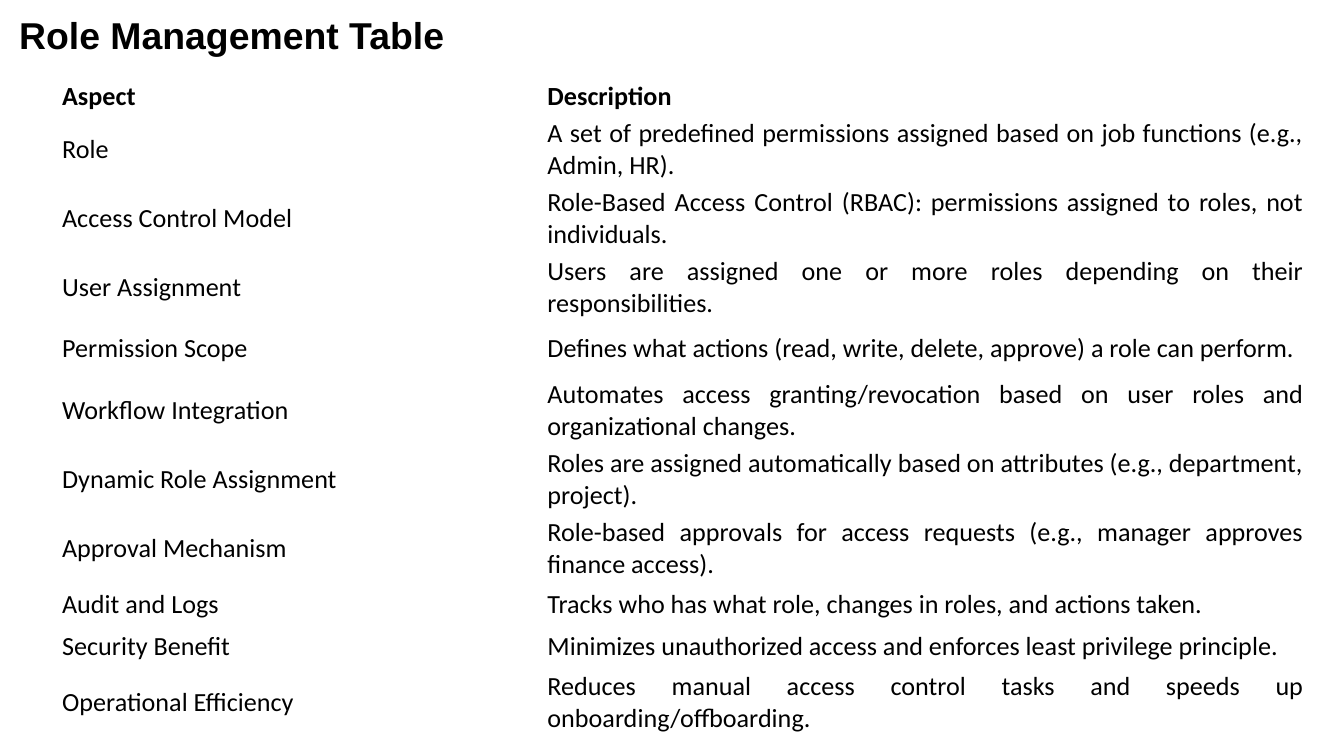
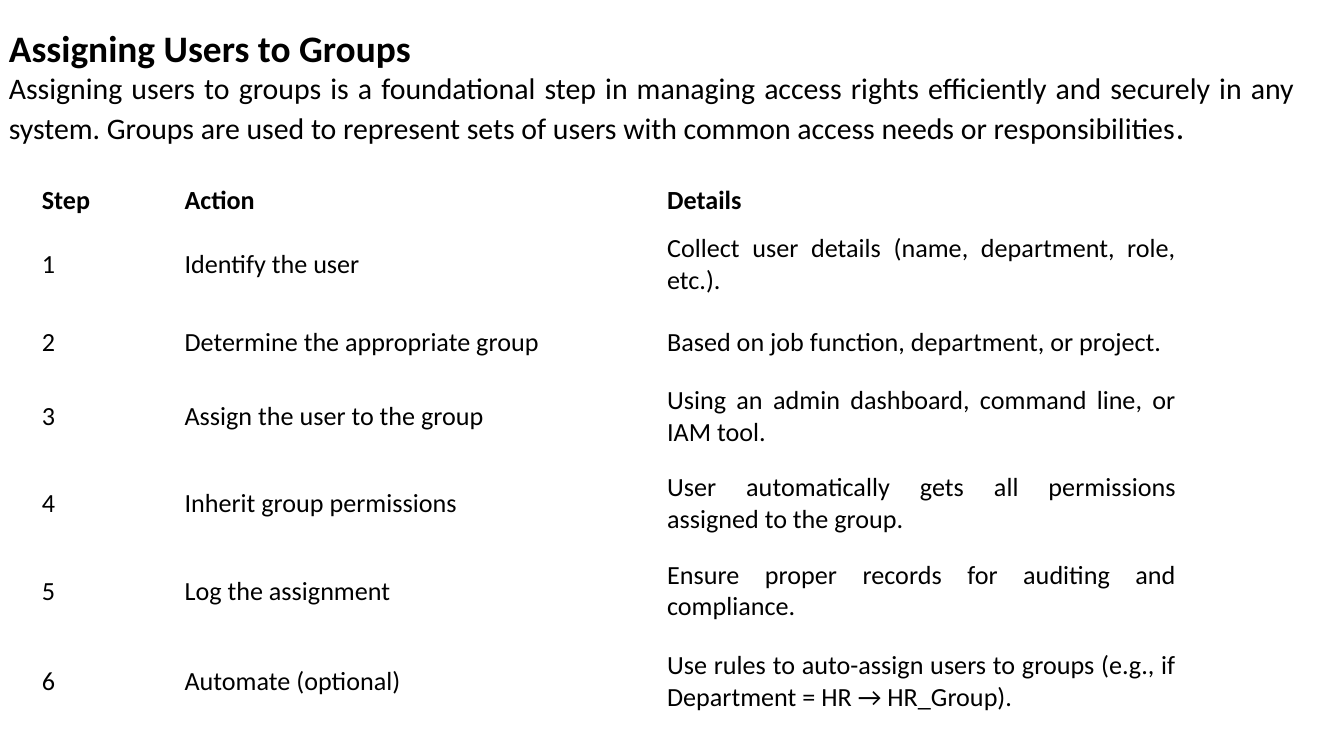
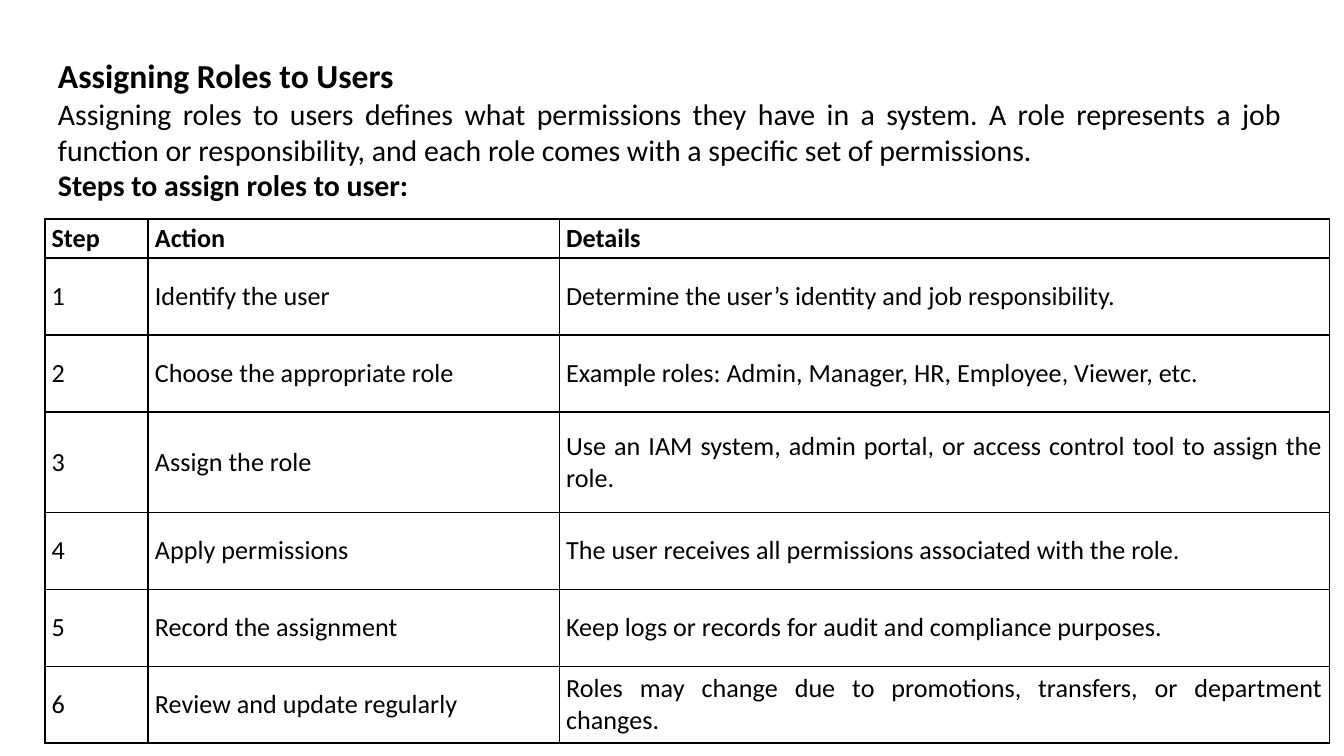
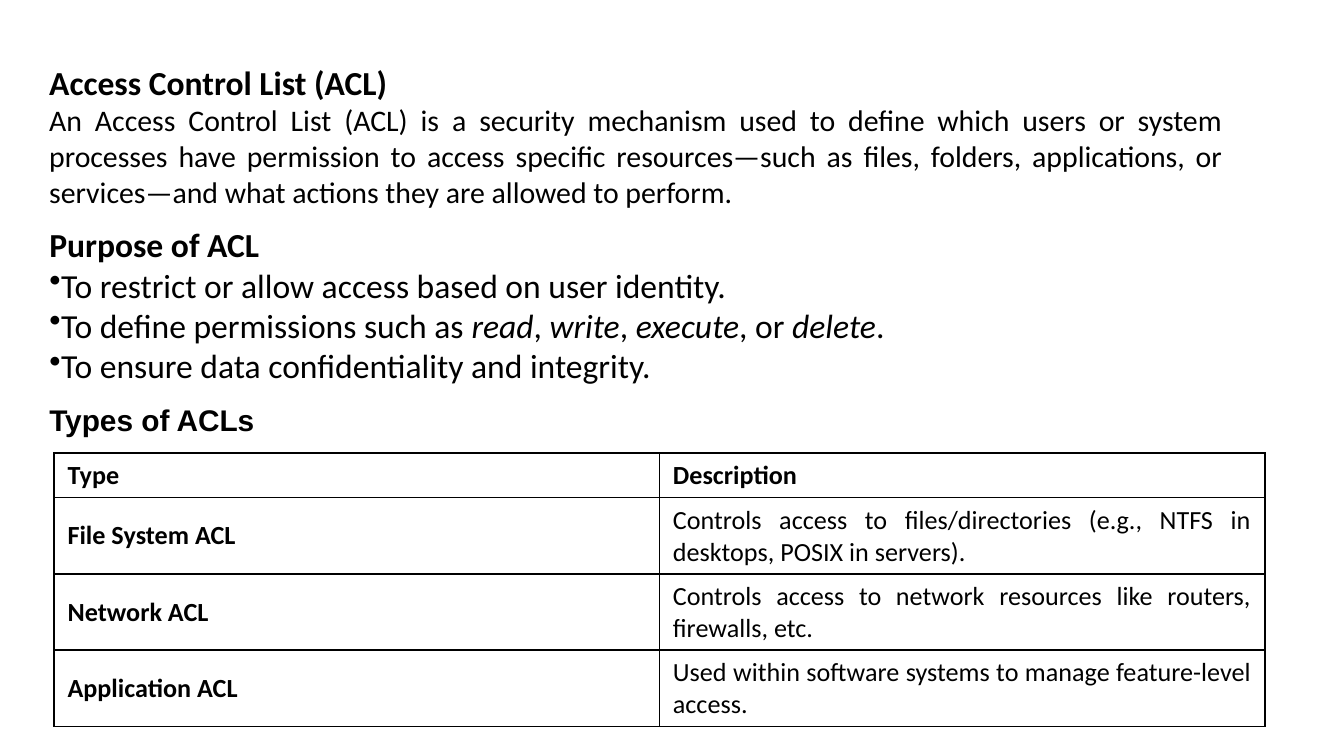
"""Build four slides on roles, groups and access control lists."""
from dataclasses import dataclass
from typing import NamedTuple

from lxml.etree import SubElement
from pptx import Presentation
from pptx.dml.color import RGBColor
from pptx.enum.text import MSO_ANCHOR as Anchor, MSO_AUTO_SIZE as AutoSize, PP_ALIGN as Align
from pptx.oxml.ns import qn
from pptx.util import Pt

COLORS = {"ink": "000000", "paper": "FFFFFF"}
BODY_FONT, HEADING_FONT = "Calibri", "Arial"
CELL_SIZE = 14


class Span(NamedTuple):
    """A stretch of text that differs from the rest of its paragraph."""
    text: str
    italic: bool = False
    size: float | None = None


@dataclass(frozen=True)
class Line:
    """One paragraph with its style."""
    spans: str | tuple[Span, ...]
    size: float = 16
    bold: bool = False
    justified: bool = False
    bullet: str = ""
    font: str = BODY_FONT


@dataclass(frozen=True)
class Passage:
    """A block of paragraphs; lengths in points."""
    left: float
    top: float
    width: float
    height: float
    lines: tuple[Line, ...]
    anchor: Anchor = Anchor.TOP


@dataclass(frozen=True)
class Grid:
    """A table whose first row is its heading; lengths in points."""
    left: float
    top: float
    columns: tuple[float, ...]
    heights: tuple[float, ...]
    rows: tuple[tuple[str, ...], ...]
    inset_x: float
    inset_y: float
    ruled: bool = False
    bold_labels: bool = False


def heading(text: str, size: float, font: str = BODY_FONT) -> Line:
    """Return a bold heading line."""
    return Line(text, size, bold=True, font=font)


def numbered(*steps: tuple[str, str]) -> tuple[tuple[str, ...], ...]:
    """Return the rows of a step table, numbered from one."""
    return (("Step", "Action", "Details"),
            *((str(number), *step) for number, step in enumerate(steps, 1)))


def write_line(paragraph, line: Line) -> None:
    """Fill a paragraph with a styled line."""
    font = paragraph.font
    font.name, font.size, font.bold = line.font, Pt(line.size), line.bold
    font.color.rgb = RGBColor.from_string(COLORS["ink"])
    paragraph.alignment = Align.JUSTIFY if line.justified else Align.LEFT
    spans = (Span(line.spans),) if isinstance(line.spans, str) else line.spans
    for span in spans:
        run = paragraph.add_run()
        run.text = span.text
        if span.italic:
            run.font.italic = True
        if span.size:
            run.font.size = Pt(span.size)
    if line.bullet:
        properties = paragraph._p.get_or_add_pPr()
        bullet = properties.makeelement(qn("a:buChar"), {"char": line.bullet})
        properties.find(qn("a:defRPr")).addprevious(bullet)


def draw_passage(slide, passage: Passage) -> None:
    """Draw a text block."""
    frame = slide.shapes.add_textbox(
        Pt(passage.left), Pt(passage.top), Pt(passage.width), Pt(passage.height)).text_frame
    frame.word_wrap = True
    frame.auto_size = AutoSize.SHAPE_TO_FIT_TEXT
    frame.vertical_anchor = passage.anchor
    for index, line in enumerate(passage.lines):
        write_line(frame.add_paragraph() if index else frame.paragraphs[0], line)


def rule_cell(cell) -> None:
    """Put a one-point line on each side of a cell."""
    properties = cell._tc.get_or_add_tcPr()
    for position, side in enumerate(("lnL", "lnR", "lnT", "lnB")):
        edge = properties.makeelement(qn(f"a:{side}"), {"w": str(Pt(1))})
        fill = SubElement(edge, qn("a:solidFill"))
        SubElement(fill, qn("a:srgbClr"), val=COLORS["ink"])
        properties.insert(position, edge)


def draw_grid(slide, grid: Grid) -> None:
    """Draw a table."""
    table = slide.shapes.add_table(
        len(grid.rows), len(grid.columns), Pt(grid.left), Pt(grid.top),
        Pt(sum(grid.columns)), Pt(sum(grid.heights))).table
    table.first_row = table.horz_banding = False
    for column, width in zip(table.columns, grid.columns):
        column.width = Pt(width)
    for row, height in zip(table.rows, grid.heights):
        row.height = Pt(height)
    for row_index, texts in enumerate(grid.rows):
        for column_index, text in enumerate(texts):
            cell = table.cell(row_index, column_index)
            cell.fill.background()
            cell.vertical_anchor = Anchor.MIDDLE
            cell.margin_left = cell.margin_right = Pt(grid.inset_x)
            cell.margin_top = cell.margin_bottom = Pt(grid.inset_y)
            bold = row_index == 0 or (grid.bold_labels and column_index == 0)
            write_line(cell.text_frame.paragraphs[0],
                       Line(text, CELL_SIZE, bold, justified=True))
            if grid.ruled:
                rule_cell(cell)


ROLE_MANAGEMENT = (
    Grid(30.4, 42, (260, 411), (19, *[34.5] * 3, 29, *[34.5] * 3, 23, 23, 34.5), (
        ("Aspect", "Description"),
        ("Role", "A set of predefined permissions assigned based on job functions "
                 "(e.g., Admin, HR)."),
        ("Access Control Model", "Role-Based Access Control (RBAC): permissions assigned "
                                 "to roles, not individuals."),
        ("User Assignment", "Users are assigned one or more roles depending on their "
                            "responsibilities."),
        ("Permission Scope", "Defines what actions (read, write, delete, approve) "
                             "a role can perform."),
        ("Workflow Integration", "Automates access granting/revocation based on user roles "
                                 "and organizational changes."),
        ("Dynamic Role Assignment", "Roles are assigned automatically based on attributes "
                                    "(e.g., department, project)."),
        ("Approval Mechanism", "Role-based approvals for access requests "
                               "(e.g., manager approves finance access)."),
        ("Audit and Logs", "Tracks who has what role, changes in roles, and actions taken."),
        ("Security Benefit", "Minimizes unauthorized access and enforces least privilege "
                             "principle."),
        ("Operational Efficiency", "Reduces manual access control tasks and speeds up "
                                   "onboarding/offboarding."),
    ), 2.9, 1.4),
    Passage(3.2, 1.5, 700, 34, (heading("Role Management Table", 20, HEADING_FONT),),
            Anchor.MIDDLE),
)

USERS_TO_GROUPS = (
    Passage(-2.3, 10, 703.5, 75, (
        heading("Assigning Users to Groups", 20),
        Line((Span("Assigning users to groups is a foundational step in managing access rights "
                   "efficiently and securely in any system. Groups are used to represent sets "
                   "of users with common access needs or responsibilities"),
              Span(".", size=18)), justified=True),
    )),
    Grid(18, 95, (76.5, 258.5, 281.5), (24.5, 44.5, 39.5, 39.5, 54, 39.5, 57.5), numbered(
        ("Identify the user", "Collect user details (name, department, role, etc.)."),
        ("Determine the appropriate group", "Based on job function, department, or project."),
        ("Assign the user to the group",
         "Using an admin dashboard, command line, or IAM tool."),
        ("Inherit group permissions",
         "User automatically gets all permissions assigned to the group."),
        ("Log the assignment", "Ensure proper records for auditing and compliance."),
        ("Automate (optional)",
         "Use rules to auto-assign users to groups (e.g., if Department = HR → HR_Group)."),
    ), 4.4, 2.2),
)

ROLES_TO_USERS = (
    Passage(24, 26, 670, 87, (
        heading("Assigning Roles to Users", 18),
        Line("Assigning roles to users defines what permissions they have in a system. A role "
             "represents a job function or responsibility, and each role comes with a specific "
             "set of permissions.", justified=True),
        Line("Steps to assign roles to user:", bold=True, justified=True),
    )),
    Grid(24, 117.4, (55.4, 220.3, 412.5), (20.8, 41.2, 41.2, 54, *[41.2] * 3), numbered(
        ("Identify the user", "Determine the user’s identity and job responsibility."),
        ("Choose the appropriate role",
         "Example roles: Admin, Manager, HR, Employee, Viewer, etc."),
        ("Assign the role",
         "Use an IAM system, admin portal, or access control tool to assign the role."),
        ("Apply permissions", "The user receives all permissions associated with the role."),
        ("Record the assignment", "Keep logs or records for audit and compliance purposes."),
        ("Review and update regularly",
         "Roles may change due to promotions, transfers, or department changes."),
    ), 3.6, 2, ruled=True),
)

ACCESS_CONTROL_LIST = (
    Passage(19.3, 29.5, 643, 87, (
        heading("Access Control List (ACL)", 18),
        Line("An Access Control List (ACL) is a security mechanism used to define which users or "
             "system processes have permission to access specific resources—such as files, "
             "folders, applications, or services—and what actions they are allowed to perform.",
             justified=True),
    )),
    Passage(19.3, 116.6, 635, 94, (
        heading("Purpose of ACL", 18),
        Line("To restrict or allow access based on user identity.", 18,
             justified=True, bullet="•"),
        Line((Span("To define permissions such as "), Span("read", True), Span(", "),
              Span("write", True), Span(", "), Span("execute", True), Span(", or "),
              Span("delete", True), Span(".")), 18, bullet="•"),
        Line("To ensure data confidentiality and integrity.", 18, bullet="•"),
    )),
    Grid(29, 242.6, (324.3, 324.3), (22.3, *[39.6] * 3), (
        ("Type", "Description"),
        ("File System ACL", "Controls access to files/directories "
                            "(e.g., NTFS in desktops, POSIX in servers)."),
        ("Network ACL", "Controls access to network resources like routers, firewalls, etc."),
        ("Application ACL", "Used within software systems to manage feature-level access."),
    ), 7.2, 3.6, ruled=True, bold_labels=True),
    Passage(19.3, 211, 680, 27, (heading("Types of ACLs", 16, HEADING_FONT),), Anchor.MIDDLE),
)


def main() -> None:
    """Build and save the presentation."""
    deck = Presentation()
    deck.slide_width, deck.slide_height = Pt(720), Pt(405)
    for contents in (ROLE_MANAGEMENT, USERS_TO_GROUPS, ROLES_TO_USERS, ACCESS_CONTROL_LIST):
        slide = deck.slides.add_slide(deck.slide_layouts[6])
        background = slide.background.fill
        background.solid()
        background.fore_color.rgb = RGBColor.from_string(COLORS["paper"])
        for part in contents:
            if isinstance(part, Grid):
                draw_grid(slide, part)
            else:
                draw_passage(slide, part)
    deck.save("out.pptx")


if __name__ == "__main__":
    main()
